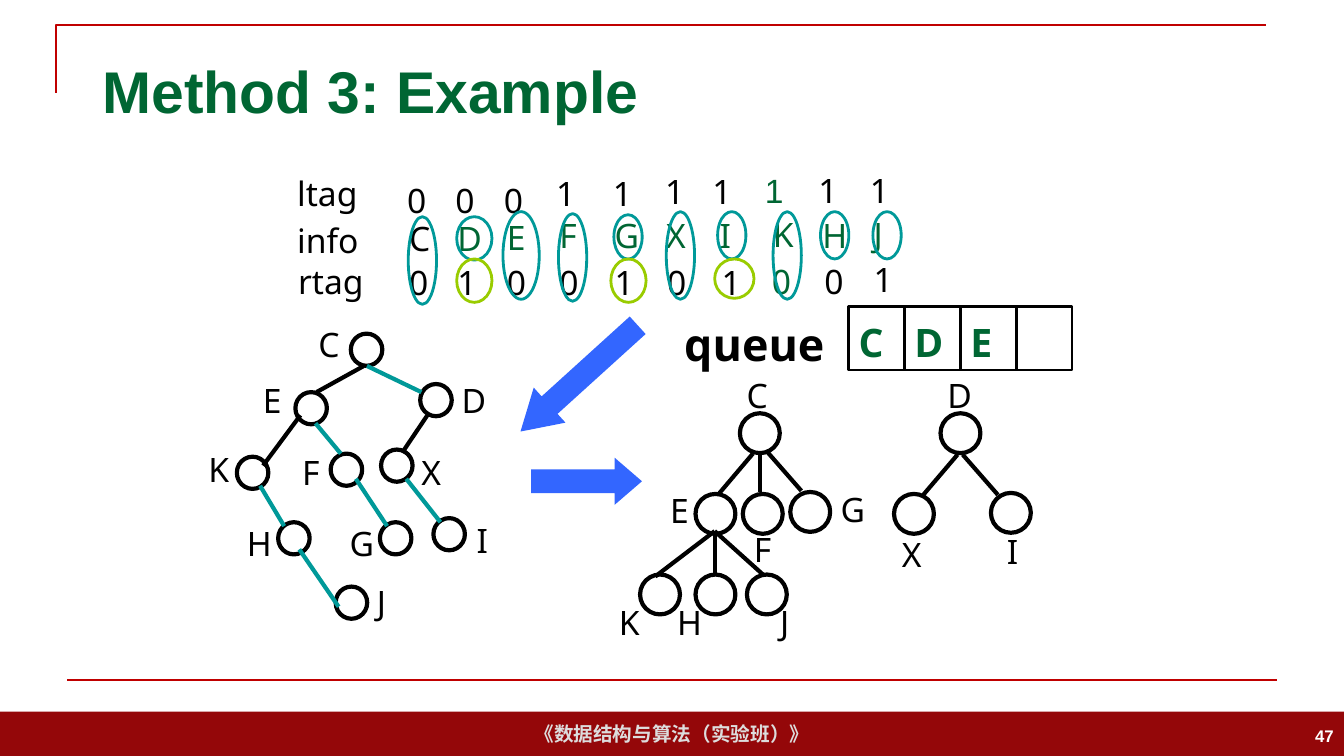
import dataclasses

import pptx
import pptx.dml.color
import pptx.enum.shapes
import pptx.enum.text
import pptx.oxml
import pptx.oxml.ns
import pptx.util

Pt = pptx.util.Pt
Shape = pptx.enum.shapes.MSO_SHAPE
Align = pptx.enum.text.PP_ALIGN
Anchor = pptx.enum.text.MSO_ANCHOR


@dataclasses.dataclass(frozen=True)
class Theme:
    black: str = "000000"
    white: str = "FFFFFF"
    green: str = "006633"
    teal: str = "009999"
    lime: str = "99CC00"
    blue: str = "3366FF"
    red: str = "C00000"
    dark_red: str = "940709"
    grey: str = "DDDDDD"
    heading_font: str = "Arial"
    body_font: str = "Noto Sans"
    title: int = 42
    queue_title: int = 32
    queue_item: int = 28
    body: int = 24
    footer: int = 14
    number: int = 12
    rule: float = 1.5
    thin: int = 2
    thick: int = 3


THEME = Theme()

NAMES = "CDEFGXIKHJ"
TAG_ROWS = [
    ("ltag", 205.2, 120.2, "0001111111",
     [283.7, 318.2, 352.8, 390.2, 430.6, 468, 501.8, 539.3, 577.4, 614.2],
     [125.3] * 3 + [120.2] * 2 + [118.8] * 2 + [118.1] * 3, "K"),
    ("info", 205.2, 153.4, NAMES,
     [285.1, 319.7, 355, 392.4, 432, 468.7, 506.9, 545, 580.3, 617],
     [151.9] * 2 + [151.2] + [149.8] * 4 + [149, 149.8, 149], NAMES[1:]),
    ("rtag", 205.9, 182.9, "0100101001",
     [285.1, 319.7, 355, 392.4, 432, 469.4, 508.3, 544.3, 581.8, 617],
     [183.6] * 7 + [182.9] * 2 + [181.4], "K"),
]
TEAL_RINGS = [
    (291.6, 154.8, 20.2, 62.6), (326.2, 154.8, 25.2, 31),
    (359.3, 151.2, 25.9, 62.6), (398.9, 152.6, 20.2, 62.6),
    (438.5, 153.4, 20.2, 31.7), (475.9, 151.2, 20.2, 62.6),
    (512.6, 151.2, 20.2, 33.8), (552.2, 151.2, 20.2, 62.6),
    (586.1, 151.2, 20.2, 33.8), (623.5, 151.2, 20.2, 33.8),
]
LIME_RINGS = [
    (326.2, 185, 25.2, 31), (436.3, 185, 25.2, 31), (510.5, 185, 28.1, 28.1),
]

BINARY_NODES = [
    ("C", 250.6, 238.3, 220.3, 228.2), ("E", 211, 280.1, 180.7, 267.8),
    ("D", 300.2, 274.3, 322.6, 267.8), ("K", 169.2, 326.2, 141.8, 316.8),
    ("F", 236.2, 324, 208.8, 319), ("X", 272.2, 321.1, 293.8, 319),
    ("H", 198.7, 373, 169.2, 370.1), ("G", 271.4, 373, 242.6, 370.1),
    ("I", 309.6, 370.1, 333.4, 367.9), ("J", 239.8, 419, 262.1, 411.8),
]
CHILD_EDGES = [
    (259.9, 261.4, 226.1, 280.1), (305.3, 296.6, 287.3, 323.3),
    (214.6, 296.6, 187.9, 332.6),
]
SIBLING_EDGES = [
    (262.1, 261.4, 301, 280.1), (225.4, 302.4, 243.4, 324),
    (254.2, 342, 276.5, 375.8), (290.2, 342, 314.6, 373),
    (213.8, 392.4, 241.9, 433.4), (185.8, 347, 203, 375.8),
]
FOREST_NODES = [
    ("C", 528.5, 295.2, 526.3, 264.2), ("E", 496.8, 352.8, 471.6, 346.3),
    ("F", 530.6, 352.8, 531.4, 374.4), ("G", 564.5, 351.4, 593.3, 345.6),
    ("K", 457.2, 410.4, 434.9, 426.2), ("H", 496.8, 410.4, 476.6, 426.2),
    ("J", 533.5, 410.4, 550.1, 426.2), ("D", 671.8, 295.2, 669.6, 264.2),
    ("X", 638.6, 352.8, 637.2, 378), ("I", 707.8, 352.1, 712.1, 375.8),
]
FOREST_EDGES = [
    (537.8, 324, 513.4, 352.8), (542.9, 322.6, 542.9, 351.4),
    (547.2, 321.8, 572.4, 350.6), (684, 324.7, 659.5, 353.5),
    (687.6, 324.7, 712.8, 353.5), (510.5, 379.4, 468, 411.8),
    (510.5, 382.3, 510.5, 411.1), (510.5, 379.4, 545, 410.4),
]


def rgb(color):
    return pptx.dml.color.RGBColor.from_string(color)


def style_shape(shape, fill=None, line=None, width=0):
    shape.shadow.inherit = False
    if fill:
        shape.fill.solid()
        shape.fill.fore_color.rgb = rgb(fill)
    else:
        shape.fill.background()
    if line:
        shape.line.color.rgb = rgb(line)
        shape.line.width = Pt(width)
    else:
        shape.line.fill.background()


def add_shape(slide, kind, box, **style):
    shape = slide.shapes.add_shape(kind, *map(Pt, box))
    style_shape(shape, **style)
    return shape


def add_line(slide, ends, color, width):
    connector = slide.shapes.add_connector(
        pptx.enum.shapes.MSO_CONNECTOR.STRAIGHT, *map(Pt, ends))
    connector.line.color.rgb = rgb(color)
    connector.line.width = Pt(width)
    connector._element.spPr.append(
        pptx.oxml.parse_xml(f"<a:effectLst {pptx.oxml.ns.nsdecls('a')}/>"))


def add_text(slide, text, box, size=THEME.body, color=THEME.black, font=THEME.body_font,
             bold=False, align=Align.LEFT, anchor=Anchor.TOP, spacing=None):
    shape = slide.shapes.add_textbox(*map(Pt, box))
    frame = shape.text_frame
    frame.word_wrap = True
    frame.vertical_anchor = anchor
    paragraph = frame.paragraphs[0]
    paragraph.text = text
    paragraph.alignment = align
    paragraph.line_spacing = spacing
    paragraph.font.name = font
    paragraph.font.size = Pt(size)
    paragraph.font.bold = bold
    paragraph.font.color.rgb = rgb(color)


def add_frame(slide):
    heading = dict(font=THEME.heading_font, bold=True, anchor=Anchor.MIDDLE)
    add_shape(slide, Shape.RECTANGLE, (0, 508.3, 960, 31.7), fill=THEME.dark_red)
    add_text(slide, "《数据结构与算法（实验班）》", (330, 508.3, 300, 31.7),
             THEME.footer, THEME.grey, align=Align.CENTER, **heading)
    builder = slide.shapes.build_freeform(Pt(40.3), Pt(66.2))
    builder.add_line_segments([(Pt(40.3), Pt(18)), (Pt(904.3), Pt(18))], close=False)
    style_shape(builder.convert_to_shape(), line=THEME.red, width=THEME.rule)
    add_line(slide, (48.2, 486, 912.2, 486), THEME.red, THEME.rule)
    add_text(slide, "Method 3: Example", (66.2, 28.8, 828, 71.3),
             THEME.title, THEME.green, **heading)
    add_text(slide, "47", (743.8, 511.2, 216, 28.8),
             THEME.number, THEME.white, align=Align.RIGHT, **heading)


def add_tag_rows(slide):
    for title, title_x, title_y, values, lefts, tops, green_names in TAG_ROWS:
        add_text(slide, title, (title_x, title_y, 80, 30))
        for name, value, left, top in zip(NAMES, values, lefts, tops):
            color = THEME.green if name in green_names else THEME.black
            special = title == "ltag" and name == "K"
            font = THEME.heading_font if special else THEME.body_font
            add_text(slide, value, (left, top, 35, 30), color=color, font=font)
    for rings, color in ((TEAL_RINGS, THEME.teal), (LIME_RINGS, THEME.lime)):
        for box in rings:
            add_shape(slide, Shape.OVAL, box, line=color, width=THEME.thin)


def add_nodes(slide, nodes, width, height, fill=None):
    for name, left, top, label_left, label_top in nodes:
        add_text(slide, name, (label_left, label_top, 35, 30))
        add_shape(slide, Shape.OVAL, (left, top, width, height),
                  fill=fill, line=THEME.black, width=THEME.thick)


def add_edges(slide, edges, color):
    for ends in edges:
        add_line(slide, ends, color, THEME.thick)


def add_arrow(slide, box, head, rotation=0):
    arrow = add_shape(slide, Shape.RIGHT_ARROW, box, fill=THEME.blue)
    arrow.adjustments[0] = 0.5
    arrow.adjustments[1] = head
    arrow.rotation = rotation


def add_queue(slide, items, cell_count):
    left, top, cell_width = 606.2, 218.9, 39.9
    lefts = [left + index * cell_width for index in range(cell_count)]
    for cell_left in lefts:
        add_shape(slide, Shape.RECTANGLE, (cell_left, top, cell_width, 45.4),
                  line=THEME.black, width=THEME.thin)
    add_text(slide, "queue", (481.7, 230.4, 124.5, 38), THEME.queue_title,
             bold=True, spacing=0.8)
    for item, cell_left in zip(items, lefts):
        add_text(slide, item, (cell_left, 230.4, 40, 34), THEME.queue_item,
                 THEME.green, bold=True, spacing=0.8)


def main():
    presentation = pptx.Presentation()
    presentation.slide_width = Pt(960)
    presentation.slide_height = Pt(540)
    slide = presentation.slides.add_slide(presentation.slide_layouts[6])
    add_frame(slide)
    add_tag_rows(slide)
    add_nodes(slide, BINARY_NODES, 22.5, 23)
    add_edges(slide, CHILD_EDGES, THEME.black)
    add_edges(slide, SIBLING_EDGES, THEME.teal)
    add_nodes(slide, FOREST_NODES, 28.5, 28.5, THEME.white)
    add_edges(slide, FOREST_EDGES, THEME.black)
    add_arrow(slide, (379.4, 326.9, 79.2, 33.8), 0.58)
    add_arrow(slide, (357.1, 253.4, 113, 33.8), 0.83, 137.8)
    add_queue(slide, "CDE", 4)
    presentation.save("out.pptx")


if __name__ == "__main__":
    main()
